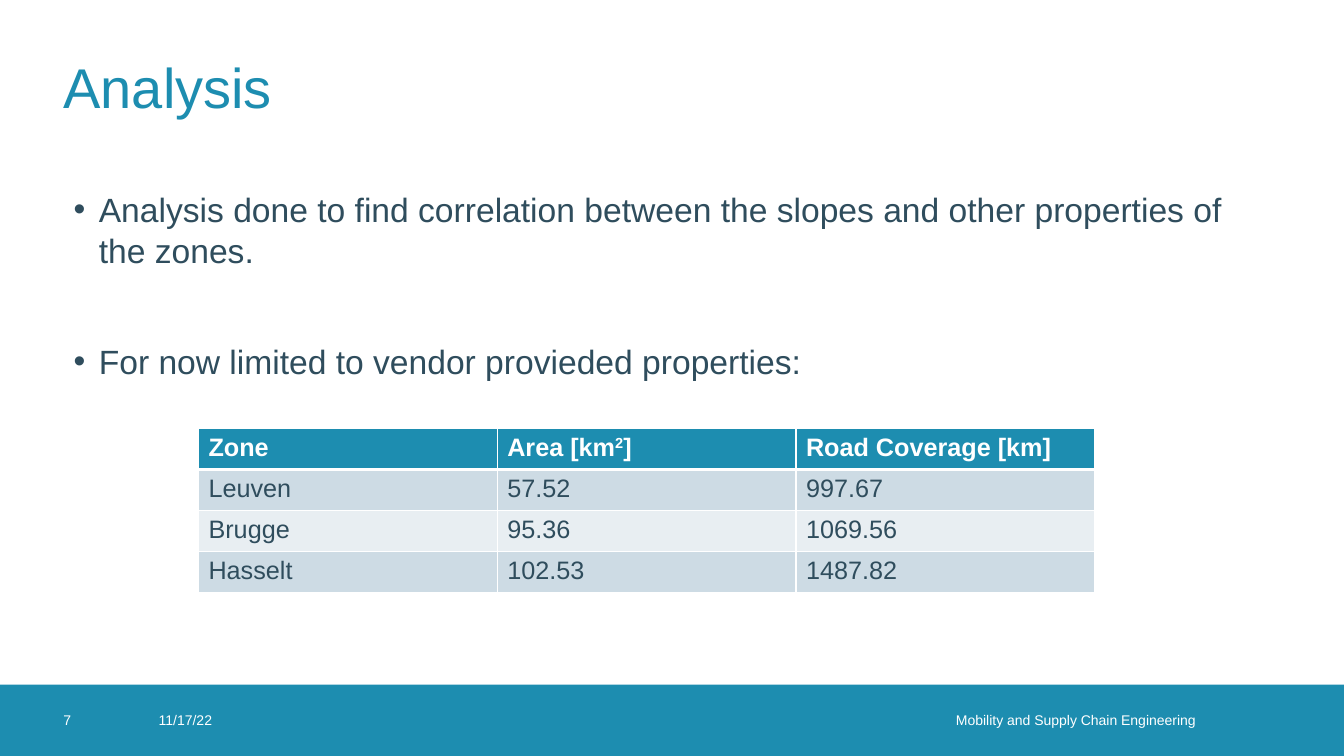
from dataclasses import dataclass

from lxml import etree
from pptx import Presentation
from pptx import util as u
from pptx.dml.color import RGBColor
from pptx.enum import shapes, text
from pptx.oxml.ns import qn

COLORS = {
    "teal": "1D8DB0",
    "ink": "2F4D5D",
    "white": "FFFFFF",
    "band_dark": "CDDBE4",
    "band_light": "E8EEF2",
}
FONT = "Arial"
CELL = u.Cm(1)  # one column or row of the layout grid
FOOTER_ROW, FOOTER_ROWS = 17.25, 1.8


@dataclass(frozen=True)
class Box:
    """Columns and rows of the layout grid."""
    column: float
    row: float
    columns: float
    rows: float

    def lengths(self) -> tuple[int, ...]:
        return tuple(round(value * CELL) for value in
                     (self.column, self.row, self.columns, self.rows))


@dataclass(frozen=True)
class FooterItem:
    words: str
    column: float
    columns: float
    right_inset: float = 0
    align: text.PP_ALIGN = text.PP_ALIGN.LEFT


TITLE_BOX = Box(1.6, 0.58, 30.66, 3.2)
BODY_BOX = Box(1.6, 4.6, 30.66, 12.4)
TABLE_BOX = Box(5, 10.8, 22.58, 4.12)

# Each bullet with the space before it, in points
BULLETS = [
    ("Analysis done to find correlation between the slopes and other "
     "properties of the zones.", 10),
    ("For now limited to vendor provieded properties:", 49),
]
ZONE_ROWS = [
    ("Zone", "Area [km^2^]", "Road Coverage [km]"),
    ("Leuven", "57.52", "997.67"),
    ("Brugge", "95.36", "1069.56"),
    ("Hasselt", "102.53", "1487.82"),
]
FOOTER_ITEMS = [
    FooterItem("7", 1.6, 1.8),
    FooterItem("11/17/22", 4, 2),
    FooterItem("Mobility and Supply Chain Engineering", 16.76, 13.87, 0.51,
               text.PP_ALIGN.RIGHT),
]


def rgb(name: str) -> RGBColor:
    return RGBColor.from_string(COLORS[name])


def write(paragraph, words: str, *, size: float, color: str, bold: bool = False,
          align: text.PP_ALIGN = text.PP_ALIGN.LEFT) -> None:
    """Write formatted text; a part between carets is superscript."""
    paragraph.alignment = align
    for index, part in enumerate(words.split("^")):
        run = paragraph.add_run()
        run.text = part
        run.font.name = FONT
        run.font.size = u.Pt(size)
        run.font.bold = bold
        run.font.color.rgb = rgb(color)
        if index % 2:
            run.font._element.set("baseline", "30000")


def place(shape, box: Box) -> None:
    shape.left, shape.top, shape.width, shape.height = box.lengths()


def center_vertically(frame, right_inset: float = 0) -> None:
    frame.word_wrap = True
    frame.auto_size = text.MSO_AUTO_SIZE.NONE
    frame.vertical_anchor = text.MSO_ANCHOR.MIDDLE
    frame.margin_left = frame.margin_top = frame.margin_bottom = 0
    frame.margin_right = round(right_inset * CELL)


def add_title(slide) -> None:
    title = slide.shapes.title
    place(title, TITLE_BOX)
    center_vertically(title.text_frame)
    write(title.text_frame.paragraphs[0], "Analysis", size=40, color="teal")


def add_bullets(slide) -> None:
    body = slide.placeholders[1]
    place(body, BODY_BOX)
    frame = body.text_frame
    frame.auto_size = text.MSO_AUTO_SIZE.NONE
    for index, (words, space) in enumerate(BULLETS):
        paragraph = frame.add_paragraph() if index else frame.paragraphs[0]
        write(paragraph, words, size=24, color="ink")
        paragraph.space_before = u.Pt(space)
        paragraph.line_spacing = 1.03
        properties = paragraph._p.get_or_add_pPr()
        properties.set("marL", str(u.Inches(0.25)))
        properties.set("indent", str(u.Inches(-0.25)))
        etree.SubElement(properties, qn("a:buChar")).set("char", "•")


def set_borders(cell, widths: dict[str, float]) -> None:
    properties = cell._tc.get_or_add_tcPr()
    for index, (side, width) in enumerate(widths.items()):
        line = etree.Element(qn(f"a:{side}"), w=str(u.Pt(width)))
        fill = etree.SubElement(line, qn("a:solidFill"))
        etree.SubElement(fill, qn("a:srgbClr")).set("val", COLORS["white"])
        properties.insert(index, line)


def add_zone_table(slide) -> None:
    table = slide.shapes.add_table(len(ZONE_ROWS), len(ZONE_ROWS[0]),
                                   *TABLE_BOX.lengths()).table
    for row, values in enumerate(ZONE_ROWS):
        header = row == 0
        band = "teal" if header else "band_dark" if row % 2 else "band_light"
        for column, words in enumerate(values):
            cell = table.cell(row, column)
            cell.fill.solid()
            cell.fill.fore_color.rgb = rgb(band)
            write(cell.text_frame.paragraphs[0], words, size=18, bold=header,
                  color="white" if header else "ink")
            set_borders(cell, {"lnL": 1, "lnR": 1, "lnT": 3 if row == 1 else 1,
                               "lnB": 3 if header else 1})


def add_footer(slide, slide_width: int) -> None:
    bar = slide.shapes.add_shape(
        shapes.MSO_SHAPE.RECTANGLE, 0, round(FOOTER_ROW * CELL),
        slide_width, round(FOOTER_ROWS * CELL))
    bar.shadow.inherit = False
    bar.fill.solid()
    bar.fill.fore_color.rgb = rgb("teal")
    bar.line.fill.background()
    for item in FOOTER_ITEMS:
        box = Box(item.column, FOOTER_ROW, item.columns, FOOTER_ROWS)
        frame = slide.shapes.add_textbox(*box.lengths()).text_frame
        center_vertically(frame, item.right_inset)
        write(frame.paragraphs[0], item.words, size=10, color="white",
              align=item.align)


def main() -> None:
    presentation = Presentation()
    presentation.slide_width = u.Inches(13.33)
    presentation.slide_height = u.Inches(7.5)
    slide = presentation.slides.add_slide(presentation.slide_layouts[1])
    add_title(slide)
    add_bullets(slide)
    add_zone_table(slide)
    add_footer(slide, presentation.slide_width)
    presentation.save("out.pptx")


if __name__ == "__main__":
    main()
